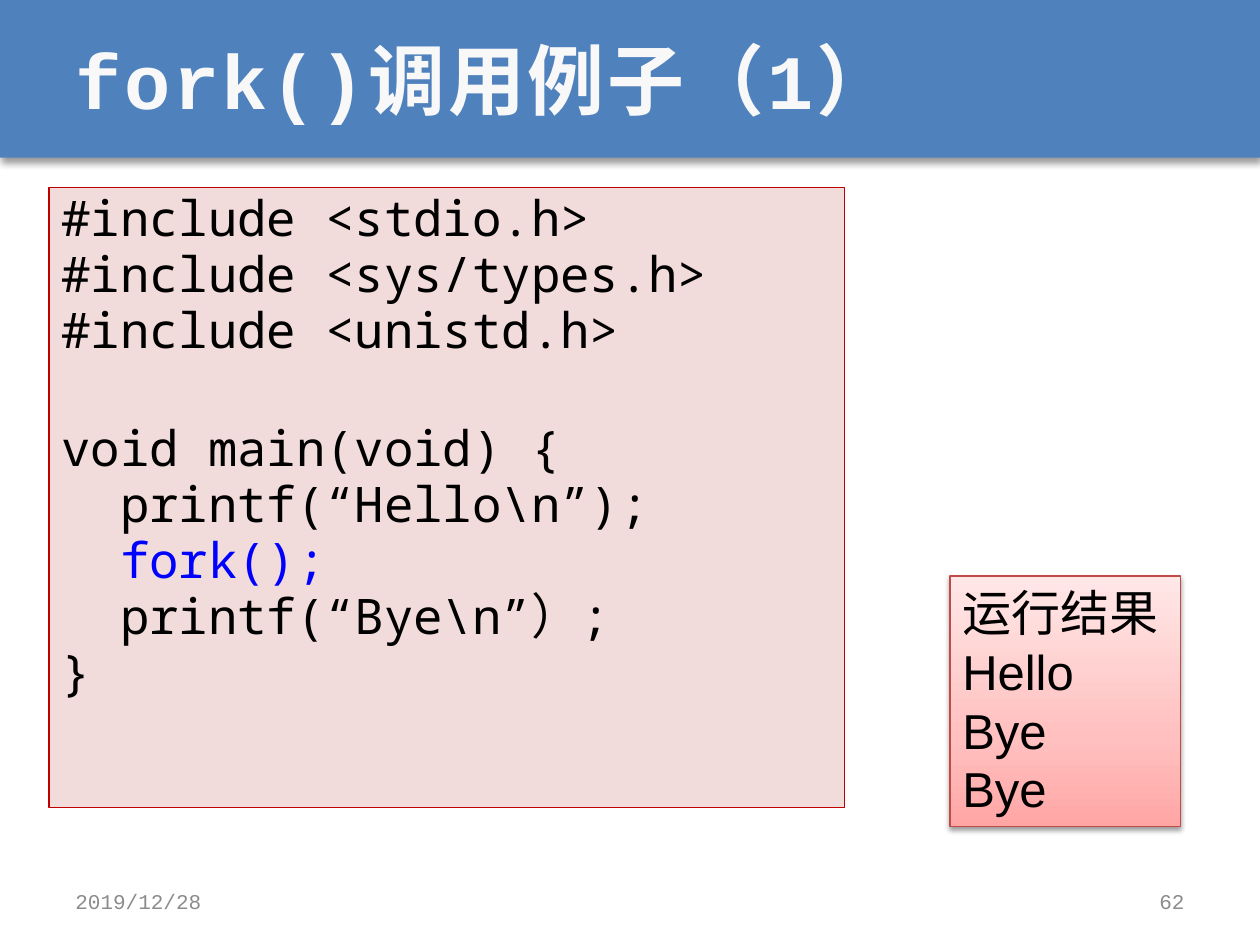
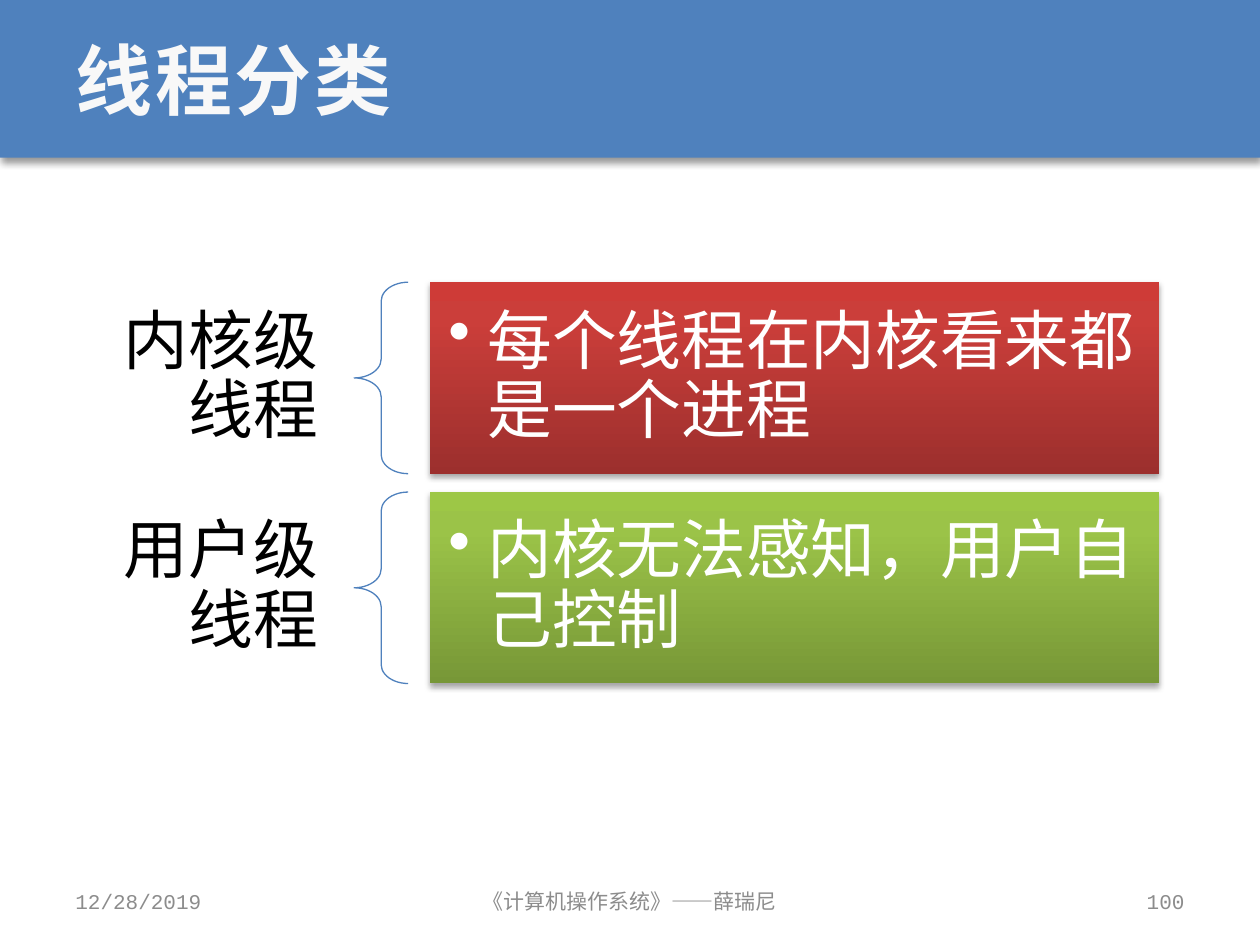
from lxml import etree
from pptx import Presentation
from pptx.dml.color import RGBColor
from pptx.enum.shapes import MSO_SHAPE
from pptx.enum.text import MSO_ANCHOR, MSO_AUTO_SIZE, PP_ALIGN
from pptx.oxml.ns import qn
from pptx.util import Cm, Pt

RECT, BRACE = MSO_SHAPE.RECTANGLE, MSO_SHAPE.LEFT_BRACE
LEFT, MID, RIGHT = PP_ALIGN.LEFT, PP_ALIGN.CENTER, PP_ALIGN.RIGHT
TOP, CENTER = MSO_ANCHOR.TOP, MSO_ANCHOR.MIDDLE
FIXED = MSO_AUTO_SIZE.NONE

BLUE, BLACK, WHITE = "4F81BD", "000000", "FFFFFF"
MONO, SANS, CODE = "Courier New", "Arial", "Noto Sans Mono"
WIDE, HIGH, BAND = 25.4, 19.05, 3.18
EDGE = 1.27

SOURCE = [
    "#include <stdio.h>",
    "#include <sys/types.h>",
    "#include <unistd.h>",
    "void main(void) {",
    r"  printf(“Hello\n”);",
    "  fork();",
    r"  printf(“Bye\n”）;",
    "}",
]
PINK = [(0, "FFA6A5"), (35, "FFC0BF"), (100, "FFE7E7")]
RED = [(0, "9C2F2D"), (80, "CB3E3A"), (100, "CE3B37")]
GREEN = [(0, "779737"), (80, "9BC348"), (100, "9DC746")]
KINDS = [
    ("内核级线程", "每个线程在内核看来都是一个进程", RED),
    ("用户级线程", "内核无法感知，用户自己控制", GREEN),
]


def paint(color, tone):
    """Set a colour format from a hex string."""
    color.rgb = RGBColor.from_string(tone)


def blend(shape, stops):
    """Fill a shape with a gradient that runs from bottom to top."""
    shape.fill.gradient()
    shape.fill.gradient_angle = 90
    group = shape.element.spPr.find(".//" + qn("a:gsLst"))
    group.clear()
    for place, tone in stops:
        stop = etree.SubElement(group, qn("a:gs"), pos=str(place * 1000))
        etree.SubElement(stop, qn("a:srgbClr"), val=tone)


def shade(shape, alpha, blur, dist):
    """Cast a soft black shadow straight down."""
    effects = shape.element.spPr.find(qn("a:effectLst"))
    drop = etree.SubElement(
        effects, qn("a:outerShdw"), blurRad=str(Pt(blur)),
        dist=str(Pt(dist)), dir="5400000", algn="ctr", rotWithShape="0")
    tint = etree.SubElement(drop, qn("a:srgbClr"), val=BLACK)
    etree.SubElement(tint, qn("a:alpha"), val=str(alpha * 1000))


def draw(slide, box, kind=RECT, fill=None, line=None):
    """Add a preset shape with a flat, gradient or empty fill."""
    shape = slide.shapes.add_shape(kind, *map(Cm, box))
    shape.shadow.inherit = False
    if isinstance(fill, list):
        blend(shape, fill)
    elif fill:
        shape.fill.solid()
        paint(shape.fill.fore_color, fill)
    else:
        shape.fill.background()
    if line:
        paint(shape.line.color, line)
        shape.line.width = Pt(0.75)
    else:
        shape.line.fill.background()
    return shape


def write(shape, lines, font=SANS, size=28, color=BLACK, bold=False,
          align=LEFT, anchor=TOP, pad=(0.25, 0.13), lead=1, hang=0):
    """Write lines of text into a shape and return its paragraphs."""
    frame = shape.text_frame
    frame.word_wrap, frame.auto_size = True, FIXED
    frame.vertical_anchor = anchor
    frame.margin_left = frame.margin_right = Cm(pad[0])
    frame.margin_top = frame.margin_bottom = Cm(pad[1])
    frame.text = "\n".join(lines)
    for para in frame.paragraphs:
        para.alignment, para.line_spacing = align, lead
        if hang:
            props = para._p.get_or_add_pPr()
            props.set("marL", str(Cm(hang)))
            props.set("indent", str(-Cm(hang)))
            etree.SubElement(props, qn("a:buChar"), char="•")
        for run in para.runs:
            run.font.name, run.font.size, run.font.bold = font, Pt(size), bold
            paint(run.font.color, color)
    return frame.paragraphs


def label(slide, box, text, **style):
    """Add a text box centred on its height."""
    shape = slide.shapes.add_textbox(*map(Cm, box))
    write(shape, [text], anchor=CENTER, **style)


def header(slide, text):
    """Place and format the slide title."""
    title = slide.shapes.title
    title.left, title.top = Cm(EDGE), Cm(0)
    title.width, title.height = Cm(WIDE - 2 * EDGE), Cm(BAND)
    write(title, [text], font=MONO, size=44, color="F8F8F8", bold=True,
          anchor=CENTER)
    for props in title.element.iter(qn("a:rPr")):
        props.set("spc", "150")


def footer(slide, date, page, note=None):
    """Place date, note and page number along the foot."""
    top, high, side, wide = 17.65, 1.02, 5.92, 8.05
    parts = [
        (EDGE, side, date, LEFT),
        ((WIDE - wide) / 2, wide, note, MID),
        (WIDE - EDGE - side, side, page, RIGHT),
    ]
    for left, width, text, align in parts:
        if text:
            label(slide, (left, top, width, high), text, font=MONO, size=12,
                  color="8C8C8C", align=align)


def listing(slide, box):
    """Show the program with its fork call picked out."""
    panel = draw(slide, box, fill="F2DCDB", line="C00000")
    paras = write(panel, SOURCE, font=CODE, lead=0.9)
    for para in paras[1:]:
        para.space_before = Pt(1.7)
        if para.text.startswith("void"):
            para.space_before = Pt(37.7)
        if "fork" in para.text:
            paint(para.runs[0].font.color, "0000FF")


def result(slide, box):
    """Show the output of the program."""
    panel = draw(slide, box, fill=PINK, line="BF4C48")
    shade(panel, 38, 3.1, 1.6)
    write(panel, ["运行结果", "Hello", "Bye", "Bye"])


def kinds(slide, box):
    """Stack the rows of name, brace and meaning."""
    left, top, width, high = box
    gap, name, brace, start = 0.37, 5.41, 1.09, 6.93
    tall = (high - gap * (len(KINDS) - 1)) / len(KINDS)
    for row, (text, sense, fill) in enumerate(KINDS):
        y = top + row * (tall + gap)
        label(slide, (left, y, name, tall), text, size=37, align=RIGHT,
              pad=(0.73, 0.25), lead=0.9)
        curl = draw(slide, (left + name, y, brace, tall), BRACE, line=BLUE)
        curl.adjustments[0] = 0.35
        card = draw(slide, (left + start, y, width - start, tall), fill=fill)
        shade(card, 35, 3.1, 1.8)
        write(card, [sense], size=37, color=WHITE, anchor=CENTER,
              pad=(0.38, 0.38), lead=0.9, hang=0.79)


def main():
    """Build and save the slides."""
    deck = Presentation()
    deck.slide_width, deck.slide_height = Cm(WIDE), Cm(HIGH)
    layout = deck.slide_layouts[5]
    first, second = [deck.slides.add_slide(layout) for _ in range(2)]

    band = draw(first, (0, 0, WIDE, BAND), fill=BLUE)
    shade(band, 40, 4, 3)
    layout.shapes.element.insert(2, band.element)

    header(first, "fork()调用例子（1）")
    footer(first, "2019/12/28", "62")
    listing(first, (0.99, 3.78, 16.03, 12.5))
    result(first, (19.15, 11.61, 4.65, 5.05))

    header(second, "线程分类")
    footer(second, "12/28/2019", "100", "《计算机操作系统》——薛瑞尼")
    kinds(second, (1.73, 5.69, 21.64, 8.09))
    deck.save("out.pptx")


if __name__ == "__main__":
    main()
